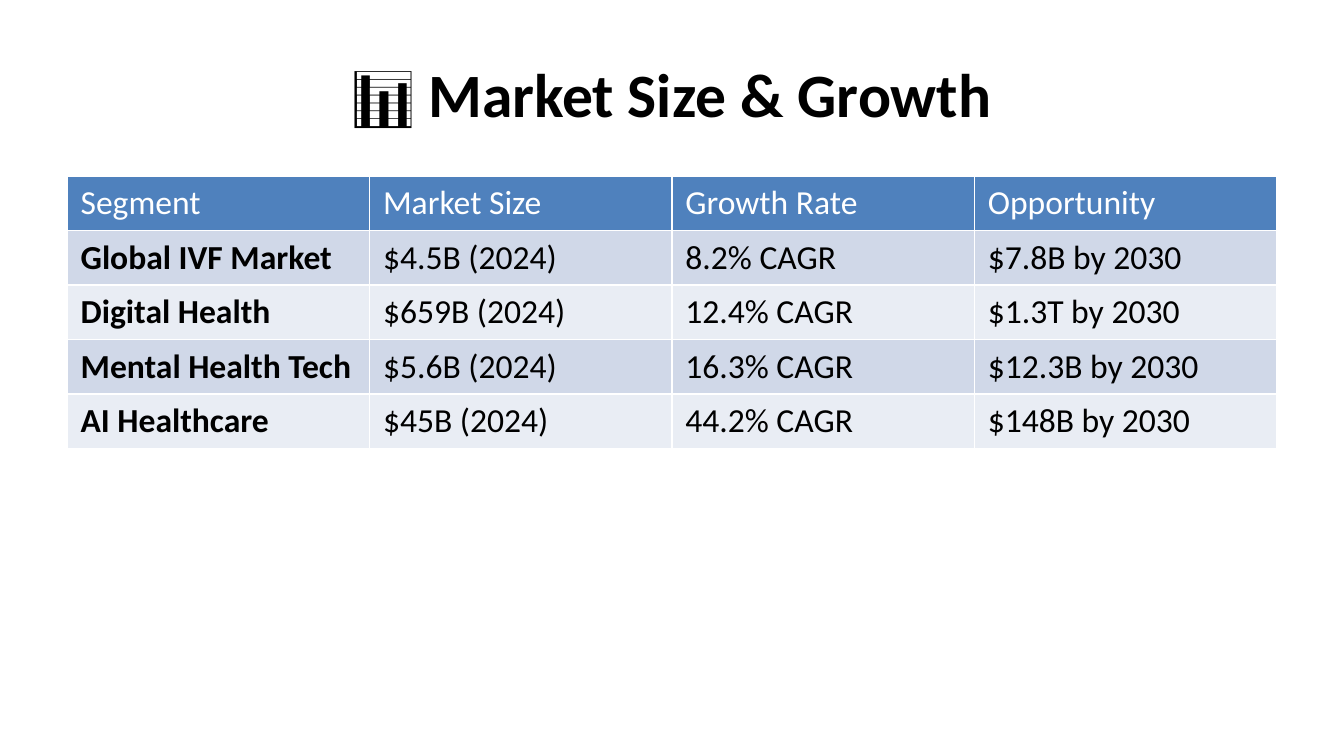
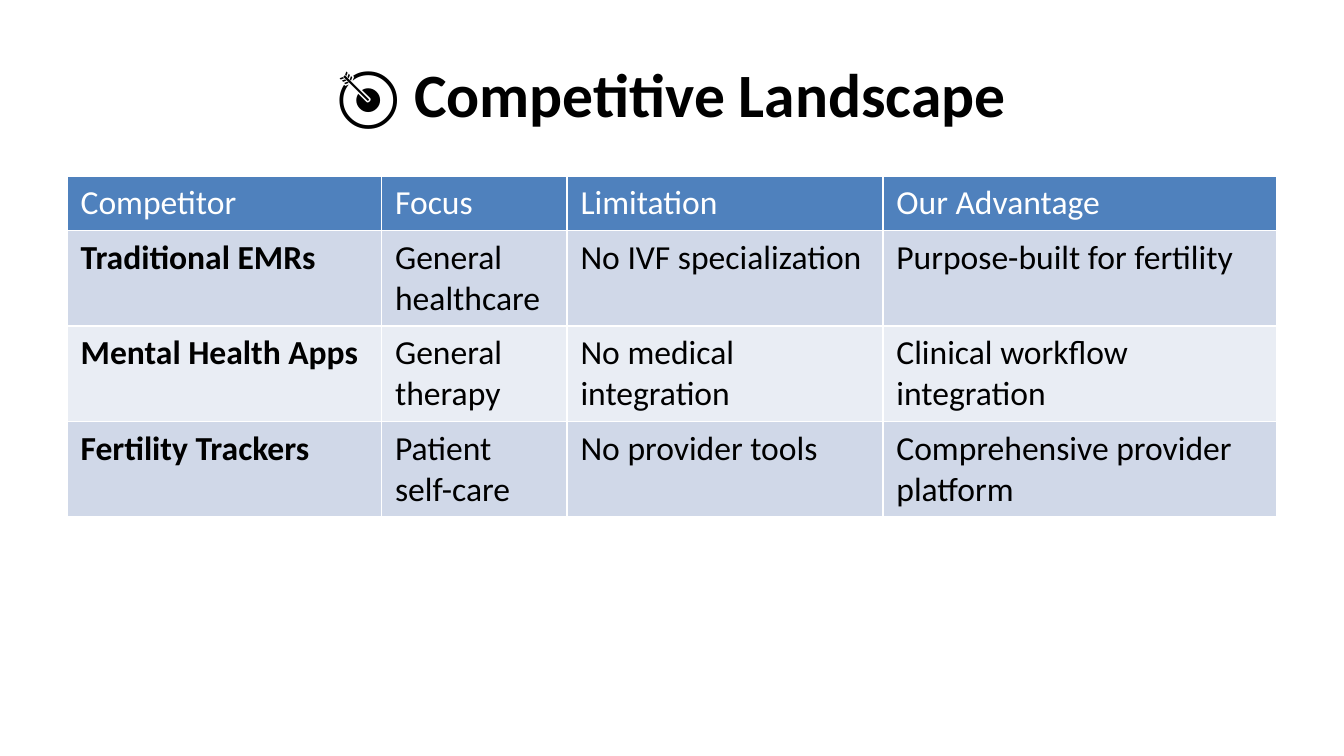
from pptx import Presentation
from pptx.dml.color import RGBColor
from pptx.enum import text
from pptx.util import Inches, Pt

BLACK = RGBColor(0x00, 0x00, 0x00)
WHITE = RGBColor(0xFF, 0xFF, 0xFF)
HEADER_BLUE = RGBColor(0x4F, 0x81, 0xBD)
BANDS = (RGBColor(0xD0, 0xD8, 0xE8), RGBColor(0xE9, 0xED, 0xF4))
FONT = "Calibri"
TITLE_ONLY = 5
TITLE_BOX = (0.5, 0.23, 9, 0.93)
TABLE_BOX = (0.5, 1.31, 9, 3.71)

MARKET_WIDTHS = (2.25, 2.25, 2.25, 2.25)
MARKET_ROWS = (
    ("Segment", "Market Size", "Growth Rate", "Opportunity"),
    ("Global IVF Market", "$4.5B (2024)", "8.2% CAGR", "$7.8B by 2030"),
    ("Digital Health", "$659B (2024)", "12.4% CAGR", "$1.3T by 2030"),
    ("Mental Health Tech", "$5.6B (2024)", "16.3% CAGR", "$12.3B by 2030"),
    ("AI Healthcare", "$45B (2024)", "44.2% CAGR", "$148B by 2030"),
)
COMPETITOR_WIDTHS = (2.34, 1.38, 2.35, 2.93)
COMPETITOR_ROWS = (
    ("Competitor", "Focus", "Limitation", "Our Advantage"),
    ("Traditional EMRs", "General healthcare", "No IVF specialization",
     "Purpose-built for fertility"),
    ("Mental Health Apps", "General therapy", "No medical integration",
     "Clinical workflow integration"),
    ("Fertility Trackers", "Patient self-care", "No provider tools",
     "Comprehensive provider platform"),
)


def style_font(font, size, color):
    """Apply the deck typeface with a size and colour."""
    font.name = FONT
    font.size = Pt(size)
    font.color.rgb = color


def add_title(page, box, icon, wording):
    """Fill the title placeholder with an icon and a bold heading."""
    title = page.shapes.title
    title.left, title.top, title.width, title.height = map(Inches, box)
    frame = title.text_frame
    frame.auto_size = text.MSO_AUTO_SIZE.NONE
    frame.vertical_anchor = text.MSO_ANCHOR.MIDDLE
    para = frame.paragraphs[0]
    para.alignment = text.PP_ALIGN.CENTER
    for words, bold in ((icon + " ", False), (wording, True)):
        span = para.add_run()
        span.text = words
        span.font.bold = bold
        style_font(span.font, 33, BLACK)


def fill_cell(cell, words, fill, color, bold):
    """Write one table cell with its fill and text style."""
    cell.text = words
    cell.fill.solid()
    cell.fill.fore_color.rgb = fill
    font = cell.text_frame.paragraphs[0].font
    style_font(font, 18, color)
    font.bold = bold


def add_banded_table(page, box, widths, rows):
    """Add a table with a blue header, banded rows and a bold first column."""
    frame = page.shapes.add_table(len(rows), len(widths), *map(Inches, box))
    table = frame.table
    for column, width in zip(table.columns, widths):
        column.width = Inches(width)
    for index, words in enumerate(rows):
        table.rows[index].height = Inches(0)
        header = index == 0
        fill = HEADER_BLUE if header else BANDS[(index - 1) % len(BANDS)]
        color = WHITE if header else BLACK
        for position, entry in enumerate(words):
            bold = not header and position == 0
            fill_cell(table.cell(index, position), entry, fill, color, bold)
    frame.height = Inches(box[3])


def add_table_slide(deck, icon, wording, widths, rows):
    """Add one slide with a heading above a table."""
    page = deck.slides.add_slide(deck.slide_layouts[TITLE_ONLY])
    add_title(page, TITLE_BOX, icon, wording)
    add_banded_table(page, TABLE_BOX, widths, rows)


def main():
    """Build and save the deck."""
    deck = Presentation()
    deck.slide_width = Inches(10)
    deck.slide_height = deck.slide_width * 9 // 16
    add_table_slide(deck, "📊", "Market Size & Growth", MARKET_WIDTHS, MARKET_ROWS)
    add_table_slide(deck, "🎯", "Competitive Landscape", COMPETITOR_WIDTHS, COMPETITOR_ROWS)
    deck.save("out.pptx")


if __name__ == "__main__":
    main()
